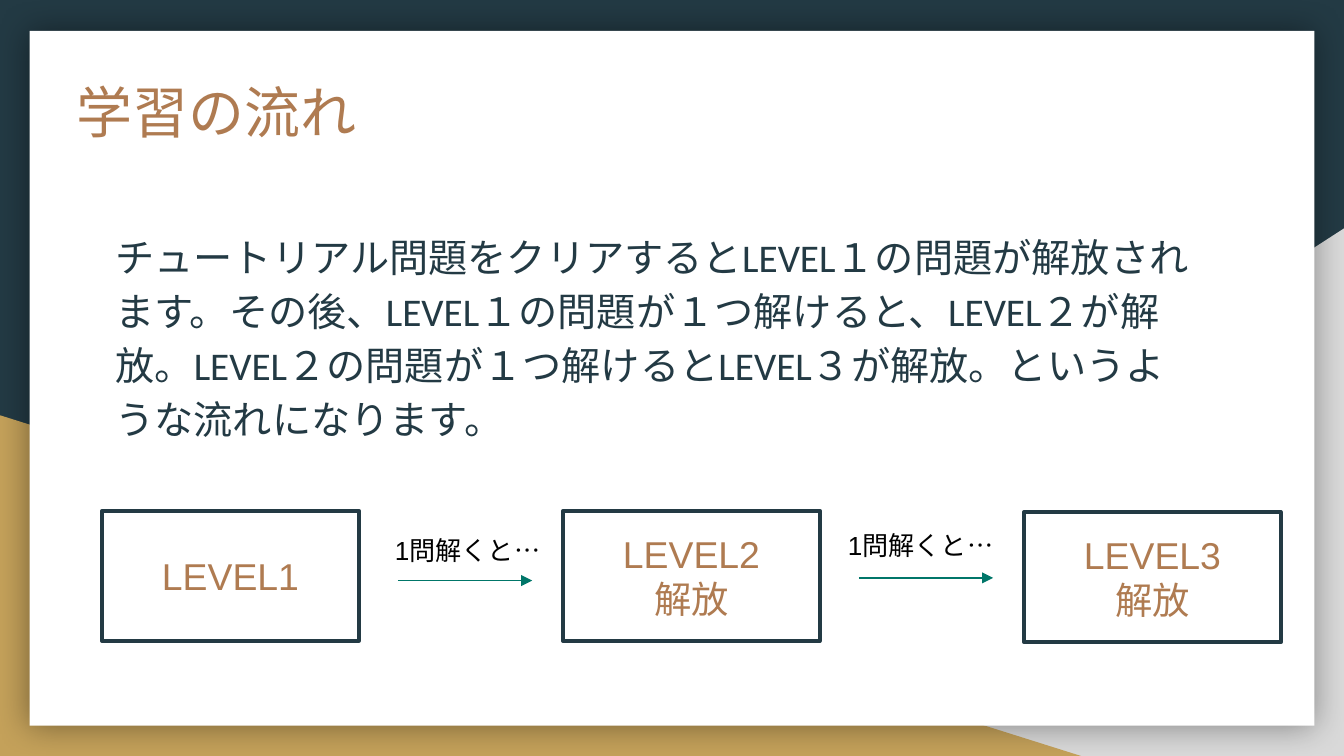
from lxml import etree
from pptx import Presentation
from pptx.dml.color import RGBColor
from pptx.enum.shapes import MSO_CONNECTOR, MSO_SHAPE
from pptx.enum.text import MSO_ANCHOR, MSO_AUTO_SIZE, PP_ALIGN
from pptx.oxml.ns import qn
from pptx.util import Inches, Pt

RECTANGLE = MSO_SHAPE.RECTANGLE
TRIANGLE = MSO_SHAPE.RIGHT_TRIANGLE
STRAIGHT = MSO_CONNECTOR.STRAIGHT
TOP, MIDDLE = MSO_ANCHOR.TOP, MSO_ANCHOR.MIDDLE
LEFT, CENTER = PP_ALIGN.LEFT, PP_ALIGN.CENTER
FIT_SHAPE, NO_FIT = MSO_AUTO_SIZE.SHAPE_TO_FIT_TEXT, MSO_AUTO_SIZE.NONE

NAVY = RGBColor(0x23, 0x3A, 0x44)
GOLD = RGBColor(0xC4, 0xA1, 0x5A)
GREY = RGBColor(0xD9, 0xD9, 0xD9)
BROWN = RGBColor(0xAF, 0x7B, 0x51)
GREEN = RGBColor(0x00, 0x76, 0x69)
WHITE = RGBColor(0xFF, 0xFF, 0xFF)
BLACK = RGBColor(0x00, 0x00, 0x00)

BODY = (
    "チュートリアル問題をクリアするとLEVEL１の問題が解放されます。"
    "その後、LEVEL１の問題が１つ解けると、LEVEL２が解放。"
    "LEVEL２の問題が１つ解けるとLEVEL３が解放。というような流れになります。"
)
STEP_LABEL = "1問解くと…"

BOX_LEFT, BOX_PITCH = 0.76, 3.43
BOX_WIDTH, BOX_HEIGHT = 1.91, 0.97
# Lines of text and top edge of each level box
LEVELS = [(["LEVEL1"], 3.8), (["LEVEL2", "解放"], 3.8), (["LEVEL3", "解放"], 3.81)]
# Arrow height, then label left and top, for each step
STEPS = [(4.32, 2.84, 3.93), (4.3, 6.21, 3.89)]
ARROW_OFFSET, ARROW_LENGTH = 2.2, 1.0


def inches(*lengths):
    return [Inches(length) for length in lengths]


def write_text(frame, lines, font, size, color, align=LEFT, spacing=None):
    for index, line in enumerate(lines):
        paragraph = frame.paragraphs[0] if index == 0 else frame.add_paragraph()
        paragraph.alignment = align
        if spacing:
            paragraph.line_spacing = spacing
        run = paragraph.add_run()
        run.text = line
        run.font.name = font
        run.font.size = Pt(size)
        run.font.color.rgb = color


def set_margins(frame, margin):
    frame.margin_left = frame.margin_right = margin
    frame.margin_top = frame.margin_bottom = margin


def add_panel(slide, kind, box, color, flipped=False):
    shape = slide.shapes.add_shape(kind, *inches(*box))
    shape.shadow.inherit = False
    shape.fill.solid()
    shape.fill.fore_color.rgb = color
    shape.line.fill.background()
    if flipped:
        shape._element.spPr.find(qn("a:xfrm")).set("flipH", "1")
    return shape


def add_glow_shadow(shape):
    effects = shape._element.spPr.find(qn("a:effectLst"))
    shadow = etree.SubElement(effects, qn("a:outerShdw"), blurRad=str(Pt(18)),
                              dist="0", dir="0", algn="ctr", rotWithShape="0")
    color = etree.SubElement(shadow, qn("a:srgbClr"), val="000000")
    etree.SubElement(color, qn("a:alpha"), val="40000")


def add_title(slide, text):
    title = slide.shapes.title
    title.left, title.top, title.width, title.height = inches(0.47, 0.48, 8.21, 1.04)
    frame = title.text_frame
    frame.word_wrap = True
    frame.auto_size = NO_FIT
    frame.vertical_anchor = TOP
    set_margins(frame, Inches(0.1))
    write_text(frame, [text], "Quicksand", 30, BROWN)
    # Bring the title in front of the background panels
    slide.shapes._spTree.append(title._element)


def add_body(slide, text):
    frame = slide.shapes.add_textbox(*inches(0.76, 1.58, 8.21, 1.89)).text_frame
    frame.word_wrap = True
    set_margins(frame, Inches(0.1))
    write_text(frame, [text], "Calibri", 21, NAVY, spacing=1.15)


def add_level_box(slide, left, top, lines):
    shape = slide.shapes.add_shape(RECTANGLE, *inches(left, top, BOX_WIDTH, BOX_HEIGHT))
    shape.shadow.inherit = False
    shape.fill.background()
    shape.line.color.rgb = NAVY
    shape.line.width = Pt(2)
    shape.text_frame.vertical_anchor = MIDDLE
    write_text(shape.text_frame, lines, "Arial", 20, BROWN, CENTER)


def add_arrow(slide, left, top):
    arrow = slide.shapes.add_connector(
        STRAIGHT, *inches(left, top, left + ARROW_LENGTH, top))
    arrow.line.color.rgb = GREEN
    arrow.line.width = Pt(0.75)
    etree.SubElement(arrow.line._get_or_add_ln(), qn("a:tailEnd"), type="triangle")
    etree.SubElement(arrow._element.spPr, qn("a:effectLst"))


def add_step_label(slide, left, top):
    frame = slide.shapes.add_textbox(*inches(left, top, 1.53, 0.34)).text_frame
    frame.word_wrap = True
    frame.auto_size = FIT_SHAPE
    write_text(frame, [STEP_LABEL], "Arial", 14, BLACK)


def main():
    # Widescreen 16:9 page
    presentation = Presentation()
    presentation.slide_width = Inches(10)
    presentation.slide_height = Inches(10 * 9 / 16)
    slide = presentation.slides.add_slide(presentation.slide_layouts[5])

    # Background
    slide.background.fill.solid()
    slide.background.fill.fore_color.rgb = NAVY
    add_panel(slide, TRIANGLE, (3.92, 1.7, 6.08, 3.93), GREY, flipped=True)
    add_panel(slide, TRIANGLE, (0, 3.09, 8.06, 2.54), GOLD)
    add_glow_shadow(add_panel(slide, RECTANGLE, (0.22, 0.23, 9.56, 5.17), WHITE))

    # Title and explanation
    add_title(slide, "学習の流れ")
    add_body(slide, BODY)

    # Level boxes, joined by labelled arrows
    for index, (lines, top) in enumerate(LEVELS):
        add_level_box(slide, BOX_LEFT + index * BOX_PITCH, top, lines)
    for index, (arrow_top, label_left, label_top) in enumerate(STEPS):
        add_arrow(slide, BOX_LEFT + index * BOX_PITCH + ARROW_OFFSET, arrow_top)
        add_step_label(slide, label_left, label_top)

    presentation.save("out.pptx")


if __name__ == "__main__":
    main()
